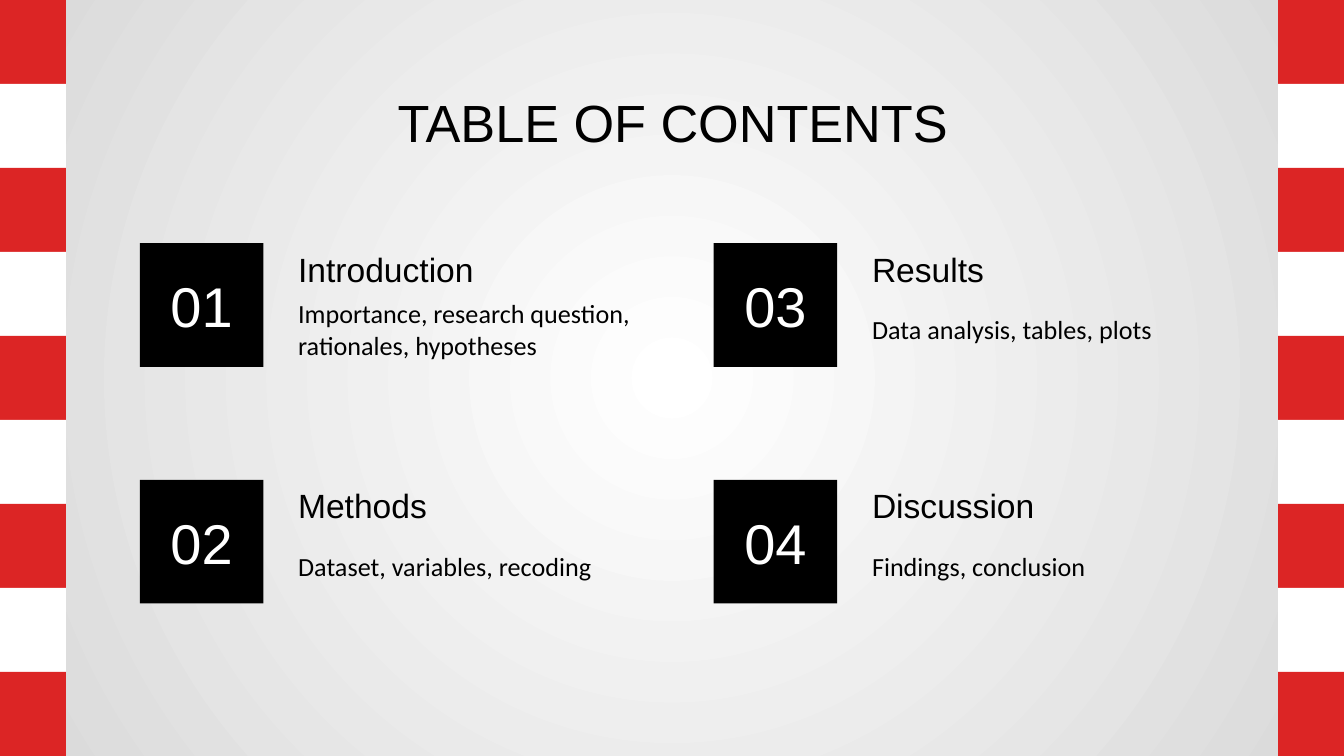
from lxml import etree
from pptx import Presentation
from pptx import util as u
from pptx.dml.color import RGBColor
from pptx.enum import shapes, text
from pptx.oxml import parse_xml
from pptx.oxml.ns import nsdecls, qn

SLIDE_WIDTH = u.Inches(10)
SLIDE_HEIGHT = SLIDE_WIDTH * 9 // 16
STRIPE_COUNT = 9
BLACK, WHITE, RED, GREY = "000000", "FFFFFF", "DC2525", "D9D9D9"

SECTIONS = [
    ("Introduction", "Importance, research question, rationales, hypotheses"),
    ("Methods", "Dataset, variables, recoding"),
    ("Results", "Data analysis, tables, plots"),
    ("Discussion", "Findings, conclusion"),
]


def color(value):
    return RGBColor.from_string(value)


def paint_background(slide):
    fill = slide.background.fill
    fill.gradient()
    for stop, shade in zip(fill.gradient_stops, (WHITE, GREY)):
        stop.color.rgb = color(shade)
    linear = next(slide.background._cSld.iter(qn("a:lin")))
    radial = parse_xml(f'<a:path {nsdecls("a")} path="circle"/>')
    etree.SubElement(radial, qn("a:fillToRect"), dict.fromkeys("ltrb", "50000"))
    linear.getparent().replace(linear, radial)


def add_block(slide, left, top, width, height, fill):
    block = slide.shapes.add_shape(
        shapes.MSO_SHAPE.RECTANGLE, left, top, width, height)
    block.shadow.inherit = False
    block.fill.solid()
    block.fill.fore_color.rgb = color(fill)
    block.line.fill.background()
    return block


def write(shape, wording, size, font, ink, align, side_inset=0.1):
    frame = shape.text_frame
    frame.word_wrap = True
    frame.vertical_anchor = text.MSO_ANCHOR.MIDDLE
    frame.margin_left = frame.margin_right = u.Inches(side_inset)
    frame.margin_top = frame.margin_bottom = u.Inches(0.1)
    paragraph = frame.paragraphs[0]
    paragraph.alignment = align
    run = paragraph.add_run()
    run.text = wording
    run.font.size = u.Pt(size)
    run.font.name = font
    run.font.color.rgb = color(ink)


def add_label(slide, left, top, width, height, wording, size,
              font="Arial", align=text.PP_ALIGN.LEFT):
    label = slide.shapes.add_textbox(
        u.Inches(left), u.Inches(top), u.Inches(width), u.Inches(height))
    write(label, wording, size, font, BLACK, align)


def add_striped_border(slide, left):
    for row in range(STRIPE_COUNT):
        top = SLIDE_HEIGHT * row // STRIPE_COUNT
        bottom = SLIDE_HEIGHT * (row + 1) // STRIPE_COUNT
        add_block(slide, u.Inches(left), top, u.Inches(0.51), bottom - top,
                  WHITE if row % 2 else RED)


def add_section(slide, left, top, number, heading, summary):
    side = u.Inches(0.92)
    badge = add_block(slide, u.Inches(left), u.Inches(top), side, side, BLACK)
    write(badge, f"{number:02}", 30, "Arial", WHITE,
          text.PP_ALIGN.CENTER, side_inset=0)
    add_label(slide, left + 1.08, top, 2.57, 0.38, heading, 18)
    add_label(slide, left + 1.08, top + 0.37, 3 if number == 1 else 2.57, 0.54,
              summary, 14, font="Calibri")


def main():
    deck = Presentation()
    deck.slide_width, deck.slide_height = SLIDE_WIDTH, SLIDE_HEIGHT
    slide = deck.slides.add_slide(deck.slide_layouts[6])
    paint_background(slide)
    for border_left in (9.51, -0.02):
        add_striped_border(slide, border_left)
    add_label(slide, 0.79, 0.59, 8.43, 0.63, "TABLE OF CONTENTS", 28,
              align=text.PP_ALIGN.CENTER)
    for index, (heading, summary) in enumerate(SECTIONS):
        column, row = divmod(index, 2)
        add_section(slide, 1.04 + 4.27 * column, 1.81 + 1.76 * row,
                    index + 1, heading, summary)
    deck.save("out.pptx")


if __name__ == "__main__":
    main()
